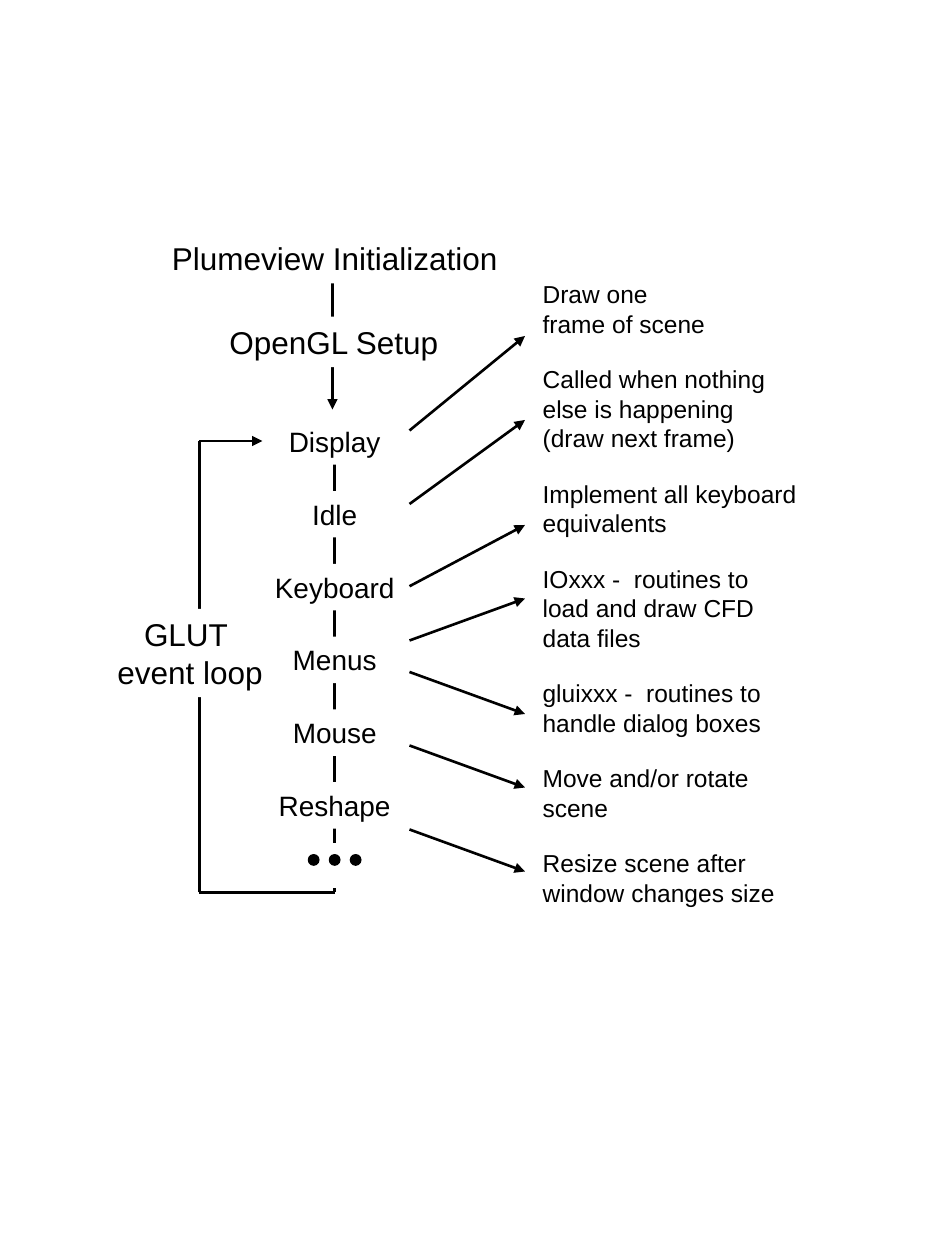
from dataclasses import dataclass

from lxml import etree
from pptx import Presentation
from pptx.dml.color import RGBColor
from pptx.enum import shapes, text
from pptx.oxml import ns
from pptx.util import Pt


@dataclass(frozen=True)
class Theme:
    ink: RGBColor = RGBColor(0, 0, 0)
    paper: RGBColor = RGBColor(255, 255, 255)
    font: str = "Arial"
    stage_size: float = 18
    callback_size: float = 16
    note_size: float = 14
    line: float = 1.5
    outline: float = 0.75


THEME = Theme()
SPINE_X = 191.25

# Callback name and the width of its label
CALLBACKS = [("Display", 69), ("Idle", 43), ("Keyboard", 87),
             ("Menus", 78), ("Mouse", 65), ("Reshape", 81)]
CALLBACK_TOP, CALLBACK_PITCH, CALLBACK_HEIGHT = 239, 41.6, 26.6

# Note text, box width, line count, and the arrow's start and end heights
NOTES = [
    ("Draw one frame of scene", 114, 2, 246, 192),
    ("Called when nothing else is happening\n(draw next frame)", 162, 3, 288, 240),
    ("Implement all keyboard equivalents", 162, 2, 335, 300),
    ("IOxxx -  routines to load and draw CFD data files", 162, 3, 366, 342),
    ("gluixxx -  routines to handle dialog boxes", 144, 2, 384, 408),
    ("Move and/or rotate scene", 144, 2, 426, 450),
    ("Resize scene after window changes size", 156, 2, 474, 498),
]
NOTE_LEFT, NOTE_TOP, NOTE_GAP = 303, 156, 7.8
NOTE_LINE, NOTE_PADDING = 16.8, 7.2
ARROW_START, ARROW_END = 234, 300


def add_line(slide, start, end, arrow=False):
    line = slide.shapes.add_connector(
        shapes.MSO_CONNECTOR.STRAIGHT, *(Pt(v) for v in (*start, *end)))
    line.line.color.rgb = THEME.ink
    line.line.width = Pt(THEME.line)
    if arrow:
        etree.SubElement(line.line._get_or_add_ln(), ns.qn("a:tailEnd"), type="triangle")
    etree.SubElement(line._element.spPr, ns.qn("a:effectLst"))


def write(shape, words, size, align, wrap):
    frame = shape.text_frame
    frame.text = words
    frame.word_wrap = wrap
    frame.auto_size = text.MSO_AUTO_SIZE.SHAPE_TO_FIT_TEXT
    frame.vertical_anchor = text.MSO_ANCHOR.TOP
    for paragraph in frame.paragraphs:
        paragraph.alignment = align
        paragraph.font.name = THEME.font
        paragraph.font.size = Pt(size)
        paragraph.font.color.rgb = THEME.ink


def add_solid(parent, kind, left, top, width, height, color, outlined=False):
    shape = parent.shapes.add_shape(kind, Pt(left), Pt(top), Pt(width), Pt(height))
    shape.shadow.inherit = False
    shape.fill.solid()
    shape.fill.fore_color.rgb = color
    if outlined:
        shape.line.color.rgb = color
        shape.line.width = Pt(THEME.outline)
    else:
        shape.line.fill.background()
    return shape


def add_label(slide, words, center, top, width, height, size):
    """Text on a plain box that hides the line running behind it."""
    box = add_solid(slide, shapes.MSO_SHAPE.RECTANGLE,
                    center - width / 2, top, width, height, THEME.paper)
    write(box, words, size, text.PP_ALIGN.CENTER, wrap=False)


def add_note(slide, words, top, width, height):
    box = slide.shapes.add_textbox(Pt(NOTE_LEFT), Pt(top), Pt(width), Pt(height))
    write(box, words, THEME.note_size, text.PP_ALIGN.LEFT, wrap=True)


def add_ellipsis(slide):
    add_solid(slide, shapes.MSO_SHAPE.RECTANGLE, 180, 482, 24, 25, THEME.paper, True)
    dots = slide.shapes.add_group_shape()
    for step in (-1, 0, 1):
        add_solid(dots, shapes.MSO_SHAPE.OVAL,
                  SPINE_X + 12 * step - 3, 488.4, 6, 6, THEME.ink, True)


def main():
    deck = Presentation()
    deck.slide_width, deck.slide_height = Pt(540), Pt(720)
    slide = deck.slides.add_slide(deck.slide_layouts[6])

    # Event loop: down the callbacks and back round to Display
    loop = [(SPINE_X, 252), (SPINE_X, 510), (114, 510), (114, 252), (150, 252)]
    for start, end in zip(loop, loop[1:]):
        add_line(slide, start, end, arrow=end == loop[-1])
    add_label(slide, "GLUT \nevent loop", 108.6, 348, 101, 50.4, THEME.stage_size)

    # Start-up stages
    add_line(slide, (190, 150), (190, 234), arrow=True)
    add_label(slide, "Plumeview Initialization", SPINE_X, 133.2, 208, 28.8, THEME.stage_size)
    add_label(slide, "OpenGL Setup", 190.8, 181, 137, 28.8, THEME.stage_size)

    # Callbacks
    for row, (name, width) in enumerate(CALLBACKS):
        add_label(slide, name, SPINE_X, CALLBACK_TOP + row * CALLBACK_PITCH,
                  width, CALLBACK_HEIGHT, THEME.callback_size)
    add_ellipsis(slide)

    # Notes, stacked with equal gaps, and the arrows to them
    top = NOTE_TOP
    for words, width, lines, start_y, end_y in NOTES:
        height = lines * NOTE_LINE + NOTE_PADDING
        add_note(slide, words, top, width, height)
        add_line(slide, (ARROW_START, start_y), (ARROW_END, end_y), arrow=True)
        top += height + NOTE_GAP

    deck.save("out.pptx")


if __name__ == "__main__":
    main()
